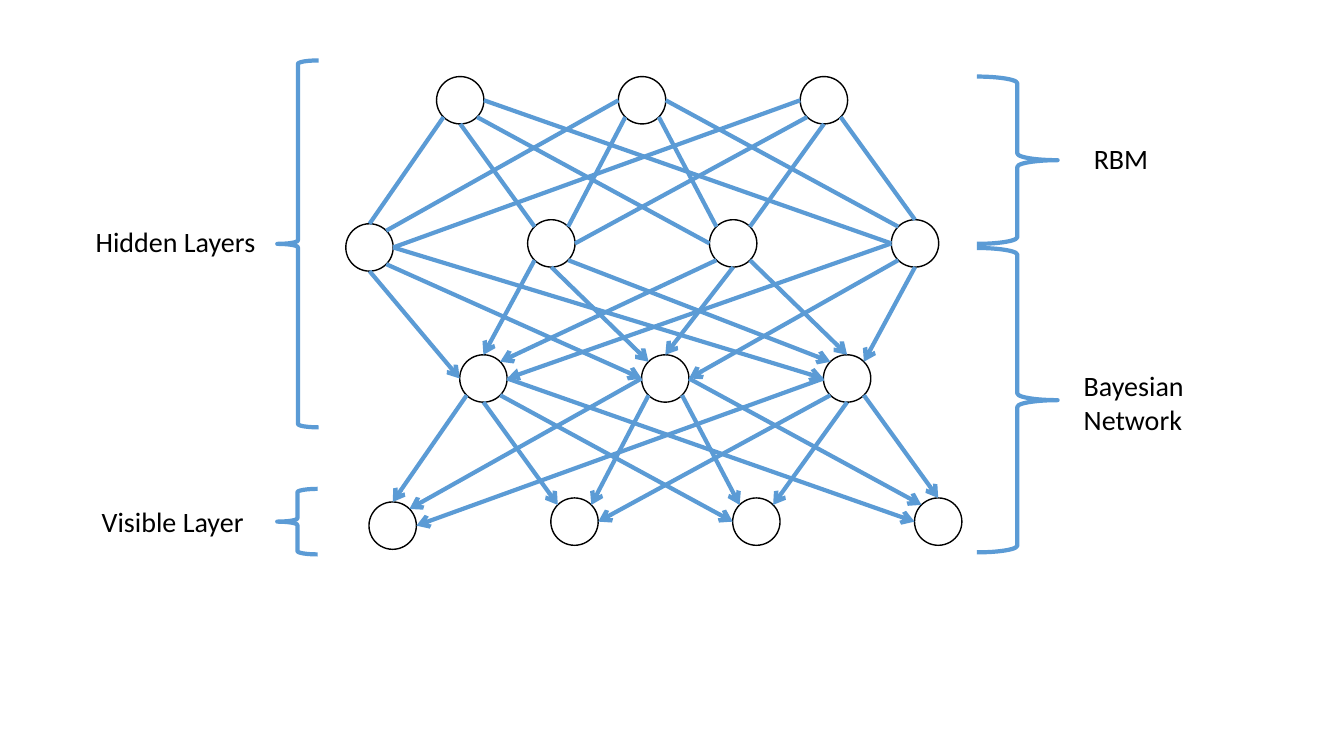
import math

import pptx
import pptx.dml.color
import pptx.enum.shapes
import pptx.enum.text
import pptx.oxml
import pptx.oxml.ns
import pptx.util
from pptx.util import Inches

COLORS = {"line": "5B9BD5", "outline": "000000", "node": "FFFFFF", "text": "000000"}
SHAPES = pptx.enum.shapes.MSO_SHAPE
NODE_SIZE = 0.47
NODE_STEP = 1.8035

# Each layer: left edge, top edge, node count, extra drop of the first node
LAYERS = {
    "top": (4.33, 0.76, 3, 0),
    "middle": (3.43, 2.18, 4, 0.04),
    "lower": (4.56, 3.52, 3, 0),
    "visible": (3.66, 4.94, 4, 0.04),
}

# One row per upper node, one entry per lower node: sides where the link starts and ends
THREE_TO_FOUR = [
    ["SW-N", "S-NW", "SE-W", "E-W"],
    ["W-NE", "SW-NE", "SE-NW", "E-NW"],
    ["W-E", "SW-E", "S-NE", "SE-N"],
]
FOUR_TO_THREE = [
    ["S-W", "SE-W", "E-W"],
    ["SW-N", "S-NW", "SE-NW"],
    ["SW-NE", "S-N", "SE-N"],
    ["W-E", "SW-E", "S-NE"],
]
COMPASS = ["E", "SE", "S", "SW", "W", "NW", "N", "NE"]


def rgb(name):
    return pptx.dml.color.RGBColor.from_string(COLORS[name])


def style_line(line, color, width):
    line.color.rgb = rgb(color)
    line.width = pptx.util.Pt(width)


def add_layer(slide, left, top, count, first_drop):
    """Draw a row of nodes and return their centres."""
    centers = []
    for index in range(count):
        x = left + index * NODE_STEP
        y = top + (first_drop if index == 0 else 0)
        node = slide.shapes.add_shape(
            SHAPES.OVAL, Inches(x), Inches(y), Inches(NODE_SIZE), Inches(NODE_SIZE))
        node.shadow.inherit = False
        node.fill.solid()
        node.fill.fore_color.rgb = rgb("node")
        style_line(node.line, "outline", 1)
        centers.append((x + NODE_SIZE / 2, y + NODE_SIZE / 2))
    return centers


def rim_point(center, side):
    angle = math.radians(45 * COMPASS.index(side))
    radius = NODE_SIZE / 2
    return (Inches(center[0] + radius * math.cos(angle)),
            Inches(center[1] + radius * math.sin(angle)))


def add_link(slide, start, end, arrowhead=None):
    link = slide.shapes.add_connector(
        pptx.enum.shapes.MSO_CONNECTOR.STRAIGHT, *start, *end)
    style_line(link.line, "line", 3)
    if arrowhead:
        tail = pptx.oxml.parse_xml(
            f'<a:tailEnd {pptx.oxml.ns.nsdecls("a")} type="{arrowhead}"/>')
        link.line._get_or_add_ln().append(tail)
    effects = pptx.oxml.parse_xml(f'<a:effectLst {pptx.oxml.ns.nsdecls("a")}/>')
    link._element.spPr.append(effects)


def link_layers(slide, upper, lower, sides, arrowhead=None, last_arrowhead=None):
    """Link every upper node to every lower one; the last node's first link may differ."""
    for row, start in enumerate(upper):
        for column, end in enumerate(lower):
            start_side, end_side = sides[row][column].split("-")
            special = row == len(upper) - 1 and column == 0 and last_arrowhead
            add_link(slide, rim_point(start, start_side), rim_point(end, end_side),
                     special or arrowhead)


def add_brace(slide, kind, left, top, width, height):
    brace = slide.shapes.add_shape(
        kind, Inches(left), Inches(top), Inches(width), Inches(height))
    brace.shadow.inherit = False
    brace.fill.background()
    style_line(brace.line, "line", 3)


def add_label(slide, text, left, top, height=0.44):
    box = slide.shapes.add_textbox(
        Inches(left), Inches(top), Inches(1.94), Inches(height))
    frame = box.text_frame
    frame.word_wrap = True
    frame.auto_size = pptx.enum.text.MSO_AUTO_SIZE.SHAPE_TO_FIT_TEXT
    frame.text = text
    font = frame.paragraphs[0].runs[0].font
    font.name = "Calibri"
    font.size = pptx.util.Pt(20)
    font.color.rgb = rgb("text")


def main():
    presentation = pptx.Presentation()
    presentation.slide_width = Inches(13.33)
    presentation.slide_height = Inches(7.5)
    slide = presentation.slides.add_slide(presentation.slide_layouts[6])

    # Network nodes and links
    nodes = {name: add_layer(slide, *layer) for name, layer in LAYERS.items()}
    link_layers(slide, nodes["top"], nodes["middle"], THREE_TO_FOUR)
    link_layers(slide, nodes["lower"], nodes["visible"], THREE_TO_FOUR, "arrow")
    link_layers(slide, nodes["middle"], nodes["lower"], FOUR_TO_THREE, "arrow", "triangle")

    # Layer names on the left
    add_brace(slide, SHAPES.LEFT_BRACE, 2.75, 0.6, 0.41, 3.64)
    add_label(slide, "Hidden Layers", 0.85, 2.18)
    add_brace(slide, SHAPES.LEFT_BRACE, 2.75, 4.85, 0.4, 0.65)
    add_label(slide, "Visible Layer", 0.91, 4.96)

    # Model parts on the right
    add_brace(slide, SHAPES.RIGHT_BRACE, 9.69, 0.76, 0.8, 1.66)
    add_label(slide, "RBM", 10.75, 1.35)
    add_brace(slide, SHAPES.RIGHT_BRACE, 9.69, 2.46, 0.8, 3.02)
    add_label(slide, "Bayesian Network", 10.65, 3.61, 0.77)

    presentation.save("out.pptx")


if __name__ == "__main__":
    main()
